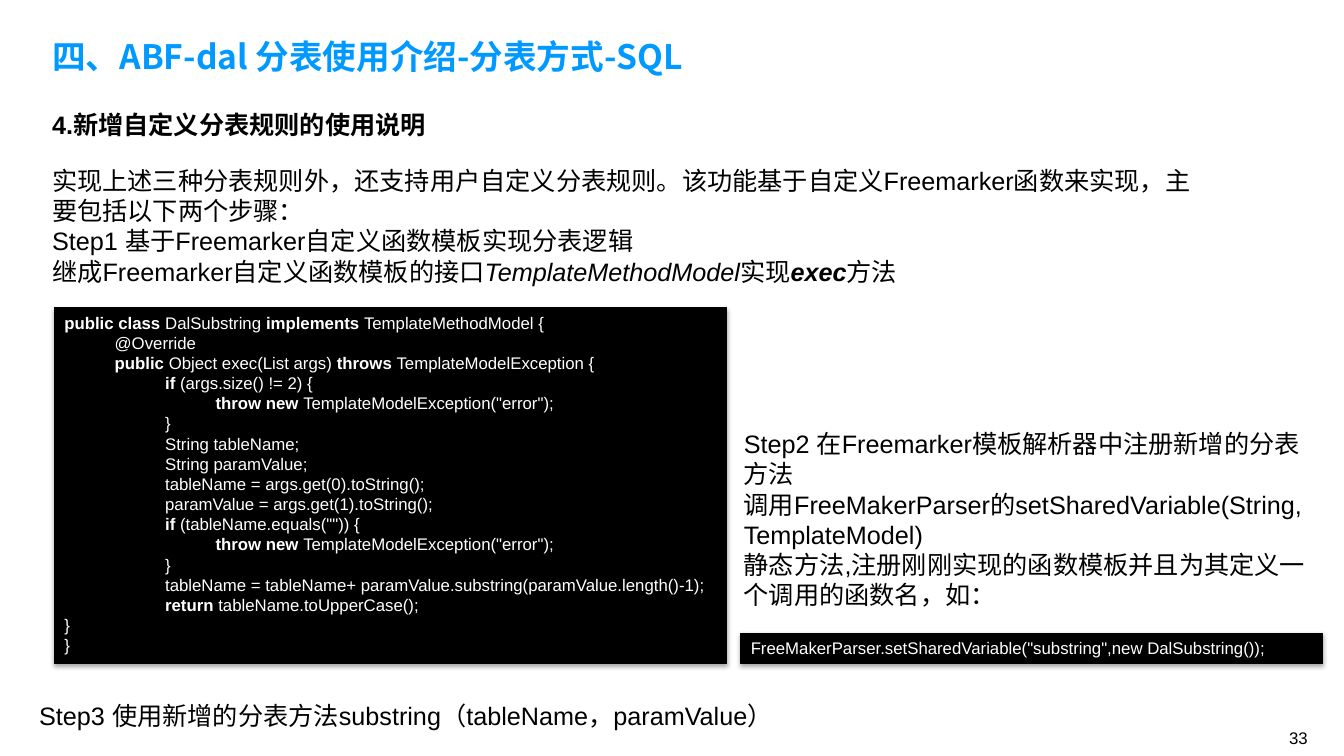
from lxml.etree import SubElement
from pptx import Presentation
from pptx.dml.color import RGBColor
from pptx.enum.shapes import MSO_SHAPE
from pptx.enum.text import MSO_ANCHOR, MSO_AUTO_SIZE, PP_ALIGN
from pptx.oxml.ns import qn
from pptx.util import Pt

BLUE = RGBColor(0x00, 0x99, 0xFF)
BLACK = RGBColor(0x00, 0x00, 0x00)
WHITE = RGBColor(0xFF, 0xFF, 0xFF)
LATIN = "Arial"
HAN = "Noto Sans CJK SC"
TAB = 36

TITLE = "四、ABF-dal 分表使用介绍-分表方式-SQL"
TITLE_BOX = (30.2, 15.8, 607, 48.2)

# | switches bold, ~ switches italic
NOTES = [
    ((30.2, 74.9, 285.8, 28.8), 18, False, ["|4.新增自定义分表规则的使用说明|"]),
    ((30.2, 114.5, 828, 94.3), 18, True, [
        "实现上述三种分表规则外，还支持用户自定义分表规则。该功能基于自定义Freemarker函数来实现，主要包括以下两个步骤：",
        "Step1 基于Freemarker自定义函数模板实现分表逻辑",
        "继成Freemarker自定义函数模板的接口~TemplateMethodModel~实现|~exec~|方法",
    ]),
    ((524.2, 302.4, 415.4, 138.2), 18, True, [
        "Step2 在Freemarker模板解析器中注册新增的分表方法",
        "调用FreeMakerParser的setSharedVariable(String, TemplateModel)",
        "静态方法,注册刚刚实现的函数模板并且为其定义一个调用的函数名，如：",
    ]),
    ((20.9, 496.8, 620.6, 28.8), 18, True, ["Step3 使用新增的分表方法substring（tableName，paramValue）"]),
    ((913.7, 516.2, 31, 20), 12, False, ["33"]),
]

CODES = [
    ((38.9, 219.6, 480.2, 254.2), [
        "|public class |DalSubstring |implements |TemplateMethodModel {",
        "\t@Override",
        "\t|public| Object exec(List args) |throws |TemplateModelException {",
        "\t\t|if| (args.size() != 2) {",
        "\t\t\t|throw new |TemplateModelException(\"error\");",
        "\t\t}",
        "\t\tString tableName;",
        "\t\tString paramValue;",
        "\t\ttableName = args.get(0).toString();",
        "\t\tparamValue = args.get(1).toString();",
        "\t\t|if| (tableName.equals(\"\")) {",
        "\t\t\t|throw new |TemplateModelException(\"error\");",
        "\t\t}",
        "\t\ttableName = tableName+ paramValue.substring(paramValue.length()-1);",
        "\t\t|return |tableName.toUpperCase();",
        "}",
        "}",
    ]),
    ((529.2, 452.2, 415.4, 21.6), ["FreeMakerParser.setSharedVariable(\"substring\",new DalSubstring());"]),
]


def style(run, size, color, font=LATIN):
    run.font.size = Pt(size)
    run.font.name = font
    run.font.color.rgb = color


def write(frame, lines, size, color, wrap=True):
    frame.word_wrap = wrap
    frame.vertical_anchor = MSO_ANCHOR.TOP
    frame.text = "\n".join(lines)
    for para, line in zip(frame.paragraphs, lines):
        para.text = ""
        para.alignment = PP_ALIGN.LEFT
        for i, part in enumerate(line.split("|")):
            for j, text in enumerate(part.split("~")):
                if text:
                    run = para.add_run()
                    run.text = text
                    style(run, size, color)
                    run.font.bold = i % 2 == 1
                    run.font.italic = j % 2 == 1


def set_tabs(frame):
    for para in frame.paragraphs:
        tabs = SubElement(para._p.get_or_add_pPr(), qn("a:tabLst"))
        for step in (1, 2, 3):
            SubElement(tabs, qn("a:tab"), pos=str(Pt(TAB * step)), algn="l")


def add_shade(shape):
    shape.shadow.inherit = False
    effects = shape._element.spPr.find(qn("a:effectLst"))
    shade = SubElement(effects, qn("a:outerShdw"), blurRad=str(Pt(3.1)),
                       dist=str(Pt(1.8)), dir="5400000", rotWithShape="0")
    color = SubElement(shade, qn("a:srgbClr"), val=str(BLACK))
    SubElement(color, qn("a:alpha"), val="35000")


def add_title(slide):
    title = slide.shapes.title
    title.left, title.top, title.width, title.height = map(Pt, TITLE_BOX)
    frame = title.text_frame
    frame.text = TITLE
    frame.auto_size = MSO_AUTO_SIZE.NONE
    frame.vertical_anchor = MSO_ANCHOR.MIDDLE
    para = frame.paragraphs[0]
    para.alignment = PP_ALIGN.LEFT
    run = para.runs[0]
    style(run, 24, BLUE, HAN)
    run.font.bold = True
    SubElement(run._r.get_or_add_rPr(), qn("a:ea"), typeface=HAN)


def main():
    deck = Presentation()
    deck.slide_width, deck.slide_height = Pt(960), Pt(540)
    slide = deck.slides.add_slide(deck.slide_layouts[5])
    add_title(slide)
    for box, size, wrap, lines in NOTES:
        note = slide.shapes.add_textbox(*map(Pt, box))
        write(note.text_frame, lines, size, BLACK, wrap)
    for box, lines in CODES:
        code = slide.shapes.add_shape(MSO_SHAPE.RECTANGLE, *map(Pt, box))
        code.fill.solid()
        code.fill.fore_color.rgb = BLACK
        code.line.color.rgb = BLACK
        code.line.width = Pt(0.75)
        add_shade(code)
        write(code.text_frame, lines, 12, WHITE)
        set_tabs(code.text_frame)
    deck.save("out.pptx")


if __name__ == "__main__":
    main()
